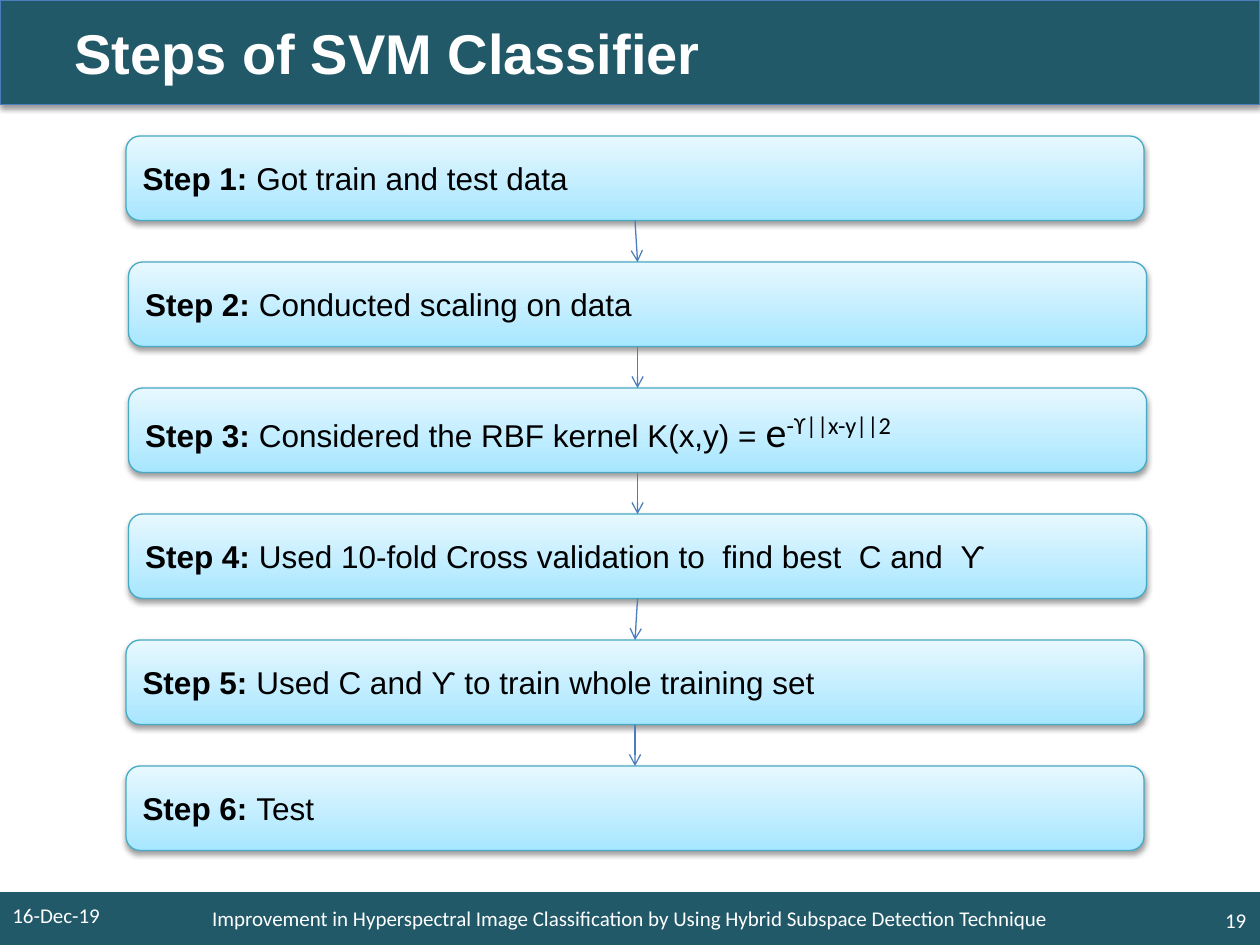
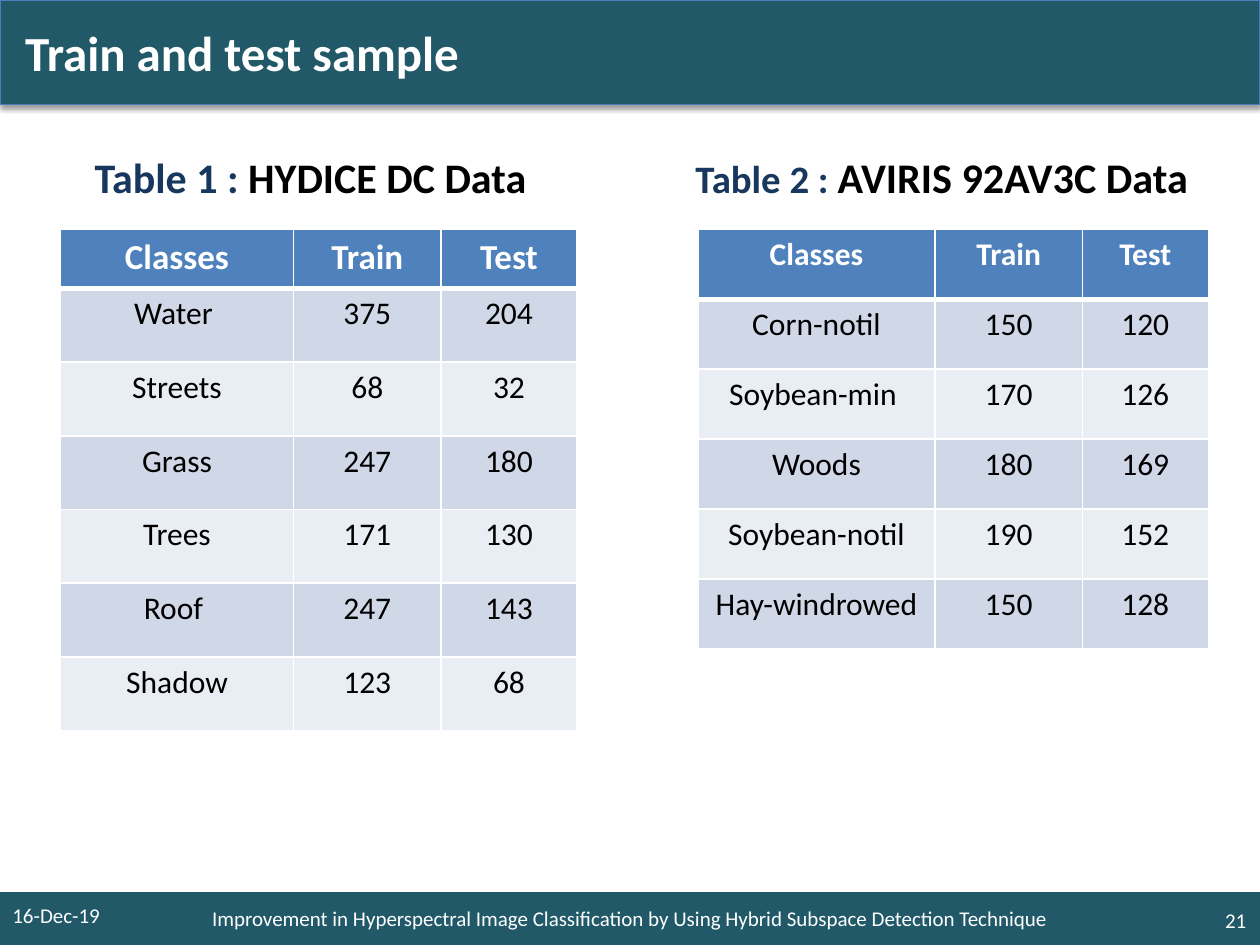
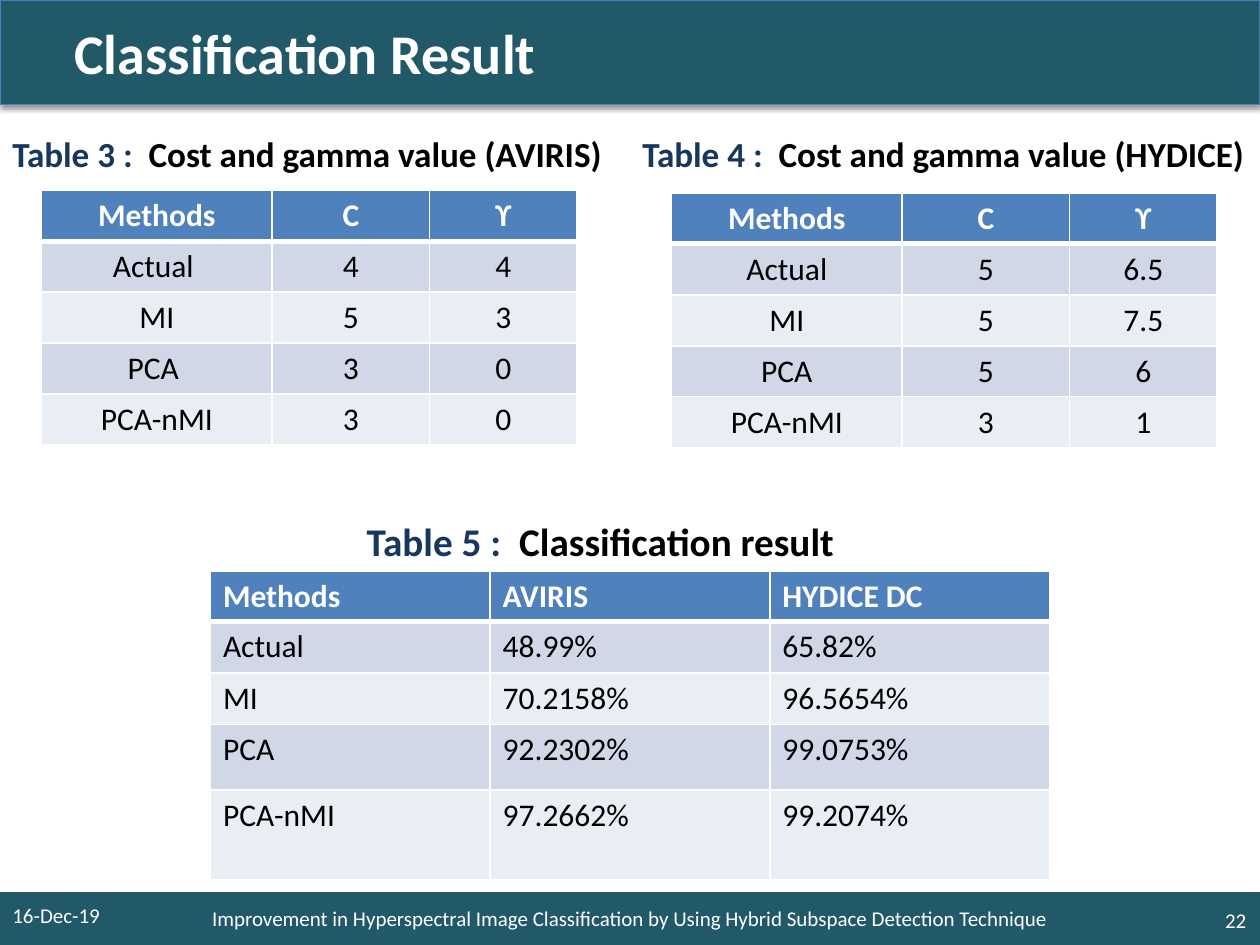
from lxml.etree import SubElement
from pptx import Presentation
from pptx.dml.color import RGBColor
from pptx.enum.shapes import MSO_CONNECTOR, MSO_SHAPE
from pptx.enum.text import MSO_ANCHOR, PP_ALIGN
from pptx.oxml import parse_xml
from pptx.oxml.ns import nsdecls, qn
from pptx.util import Inches, Pt

TEAL = RGBColor(0x21, 0x59, 0x68)
EDGE_BLUE = RGBColor(0x4B, 0x7E, 0xBC)
STEP_EDGE = RGBColor(0x46, 0xAA, 0xC5)
STEP_DARK = RGBColor(0xA7, 0xE6, 0xFF)
STEP_LIGHT = RGBColor(0xE7, 0xF8, 0xFF)
NAVY = RGBColor(0x17, 0x37, 0x5E)
HEADER_BLUE = RGBColor(0x4F, 0x81, 0xBD)
ROW_DARK = RGBColor(0xD0, 0xD8, 0xE8)
ROW_LIGHT = RGBColor(0xE9, 0xED, 0xF4)
WHITE = RGBColor(0xFF, 0xFF, 0xFF)
BLACK = RGBColor(0, 0, 0)

DATE = "16-Dec-19"
TOPIC = ("Improvement in Hyperspectral Image Classification "
         "by Using Hybrid Subspace Detection Technique")


def write(frame, *runs, size=18, font="Calibri", color=BLACK, bold=False,
          align=PP_ALIGN.LEFT, anchor=MSO_ANCHOR.MIDDLE, inset=0.1):
    """Fill a frame with runs, each a string or (string, format changes)."""
    frame.word_wrap = True
    frame.vertical_anchor = anchor
    frame.margin_left = Inches(inset)
    paragraph = frame.paragraphs[0]
    paragraph.alignment = align
    for item in runs:
        text, changes = (item, {}) if isinstance(item, str) else item
        run = paragraph.add_run()
        run.text = text
        run.font.size = Pt(changes.get("size", size))
        run.font.name = changes.get("font", font)
        run.font.color.rgb = changes.get("color", color)
        run.font.bold = changes.get("bold", bold)
        if "raised" in changes:
            run.font._element.set("baseline", str(changes["raised"] * 1000))


def outline_and_shade(shape, color):
    """Give a thin outline and a soft shadow below."""
    shape.line.color.rgb = color
    shape.line.width = Pt(0.75)
    shape.shadow.inherit = False
    effects = shape._element.spPr.find(qn("a:effectLst"))
    effects.append(parse_xml(
        f'<a:outerShdw {nsdecls("a")} blurRad="40000" dist="20000" dir="5400000" rotWithShape="0">'
        '<a:srgbClr val="000000"><a:alpha val="38000"/></a:srgbClr></a:outerShdw>'))


deck = Presentation()
deck.slide_width = Inches(10)
deck.slide_height = Inches(7.5)

# Title band and footer of every slide
slides = []
for heading, page, title_format in [
    ("Steps of SVM Classifier", "19", dict(size=32, font="Arial", inset=0.59)),
    ("Train and test sample", "21", dict(size=28, inset=0.2)),
    ("Classification Result", "22", dict(size=32, inset=0.59)),
]:
    slide = deck.slides.add_slide(deck.slide_layouts[5])
    slides.append(slide)

    title = slide.shapes.title
    title.left, title.top = Inches(0), Inches(0)
    title.width, title.height = Inches(10), Inches(0.83)
    title.fill.solid()
    title.fill.fore_color.rgb = TEAL
    outline_and_shade(title, EDGE_BLUE)
    write(title.text_frame, heading, color=WHITE, bold=True, **title_format)

    footer = slide.shapes.add_shape(MSO_SHAPE.RECTANGLE, Inches(0), Inches(7.08),
                                    Inches(10), Inches(0.42))
    footer.fill.solid()
    footer.fill.fore_color.rgb = TEAL
    footer.line.fill.background()
    footer.shadow.inherit = False
    write(footer.text_frame, TOPIC, size=12, color=WHITE, align=PP_ALIGN.CENTER)

    for text, left, top, width, align in [
        (DATE, 0, 7.06, 1.17, PP_ALIGN.LEFT),
        (page, 9.57, 7.1, 0.42, PP_ALIGN.RIGHT),
    ]:
        note = slide.shapes.add_textbox(Inches(left), Inches(top), Inches(width), Inches(0.4))
        write(note.text_frame, text, size=12, color=WHITE, align=align)

steps_slide, samples_slide, results_slide = slides

# Flow of classifier steps
STEPS = [
    (1, ["Got train and test data"]),
    (1.02, ["Conducted scaling on data"]),
    (1.02, ["Considered the RBF kernel K(x,y) = ",
            ("e", dict(size=24, font="Calibri")),
            ("-ϒ||x-y||2", dict(size=24, font="Calibri", raised=30))]),
    (1.02, ["Used 10-fold Cross validation to  find best  C and  ϒ"]),
    (1, ["Used C and ϒ to train whole training set"]),
    (1, ["Test"]),
]
step_boxes = []
for number, (left, description) in enumerate(STEPS, start=1):
    step = steps_slide.shapes.add_shape(MSO_SHAPE.ROUNDED_RECTANGLE, Inches(left),
                                        Inches(number + 0.08), Inches(8.08), Inches(0.67))
    step.fill.gradient()
    step.fill.gradient_angle = 90
    for stop, shade in zip(step.fill.gradient_stops, (STEP_DARK, STEP_LIGHT)):
        stop.color.rgb = shade
    outline_and_shade(step, STEP_EDGE)
    write(step.text_frame, (f"Step {number}: ", dict(bold=True)), *description, font="Arial")
    step_boxes.append(step)

for upper, lower in zip(step_boxes, step_boxes[1:]):
    arrow = steps_slide.shapes.add_connector(MSO_CONNECTOR.STRAIGHT, 0, 0, 0, 0)
    arrow.begin_connect(upper, 2)
    arrow.end_connect(lower, 0)
    arrow.line.color.rgb = EDGE_BLUE
    arrow.line.width = Pt(0.75)
    SubElement(arrow.line._get_or_add_ln(), qn("a:tailEnd"), type="arrow")
    SubElement(arrow._element.spPr, qn("a:effectLst"))

# Captions and tables
TABLES = [
    dict(slide=samples_slide, label="Table 1 : ", name="HYDICE DC Data",
         caption_at=(0.5, 1.15, 4.29, 0.67), inset=0.25, sizes=(24, 24),
         at=(0.48, 1.82), columns=[1.85, 1.17, 1.08], heights=[0.47] + [0.585] * 6,
         header_size=20, align=PP_ALIGN.CENTER,
         rows=[("Classes", "Train", "Test"),
               ("Water ", "375", "204"),
               ("Streets", "68", "32"),
               ("Grass", "247", "180"),
               ("Trees", "171", "130"),
               ("Roof ", "247", "143"),
               ("Shadow", "123", "68")]),
    dict(slide=samples_slide, label="Table 2 : ", name="AVIRIS 92AV3C Data",
         caption_at=(5, 1.15, 4.83, 0.77), inset=0.52, sizes=(22.2, 24.1),
         at=(5.54, 1.82), columns=[1.88, 1.17, 1], heights=[0.555] * 6,
         header_size=18, align=PP_ALIGN.CENTER,
         rows=[("Classes", "Train", "Test"),
               ("Corn-notil", "150", "120"),
               ("Soybean-min ", "170", "126"),
               ("Woods", "180", "169"),
               ("Soybean-notil", "190", "152"),
               ("Hay-windrowed", "150", "128")]),
    dict(slide=results_slide, label="Table 3 : ", name=" Cost and gamma value (AVIRIS)",
         caption_at=(0, 1, 5, 0.42), inset=0.1, sizes=(20.1, 20.1),
         at=(0.33, 1.51), columns=[1.83, 1.25, 1.17], heights=[0.405] * 5,
         header_size=18, align=PP_ALIGN.CENTER,
         rows=[("Methods", "C", "ϒ"),
               ("Actual ", "4", "4"),
               ("MI", "5", "3"),
               ("PCA ", "3", "0"),
               ("PCA-nMI", "3", "0")]),
    dict(slide=results_slide, label="Table 4 : ", name=" Cost and gamma value (HYDICE)",
         caption_at=(5, 1, 5, 0.42), inset=0.1, sizes=(20.1, 20.1),
         at=(5.33, 1.53), columns=[1.83, 1.33, 1.17], heights=[0.405] * 5,
         header_size=18, align=PP_ALIGN.CENTER,
         rows=[("Methods", "C", "ϒ"),
               ("Actual", "5", "6.5"),
               ("MI", "5", "7.5"),
               ("PCA", "5", "6"),
               ("PCA-nMI", "3", "1")]),
    dict(slide=results_slide, label="Table 5 : ", name=" Classification result",
         caption_at=(2.5, 4.06, 5.25, 0.42), inset=0.41, sizes=(22.4, 22.4),
         at=(1.67, 4.53), columns=[2.22] * 3, heights=[0.4, 0.41, 0.41, 0.52, 0.71],
         header_size=18, align=PP_ALIGN.LEFT,
         rows=[("Methods", "AVIRIS", "HYDICE DC"),
               ("Actual", "48.99%", "65.82%"),
               ("MI", "70.2158%", "96.5654%"),
               ("PCA", "92.2302%", "99.0753%"),
               ("PCA-nMI", "97.2662%", "99.2074%")]),
]
for entry in TABLES:
    shapes = entry["slide"].shapes
    caption = shapes.add_textbox(*map(Inches, entry["caption_at"]))
    caption.text_frame.margin_right = 0
    label_size, name_size = entry["sizes"]
    write(caption.text_frame, (entry["label"], dict(color=NAVY, size=label_size)),
          entry["name"], size=name_size, bold=True, anchor=MSO_ANCHOR.TOP,
          inset=entry["inset"])

    rows, columns, heights = entry["rows"], entry["columns"], entry["heights"]
    left, top = entry["at"]
    table = shapes.add_table(len(rows), len(columns), Inches(left), Inches(top),
                             Inches(sum(columns)), Inches(sum(heights))).table
    for column, width in zip(table.columns, columns):
        column.width = Inches(width)
    for r, (row, height) in enumerate(zip(rows, heights)):
        table.rows[r].height = Inches(height)
        is_header = r == 0
        for c, value in enumerate(row):
            cell = table.cell(r, c)
            for side in ("lnL", "lnR", "lnT", "lnB"):
                below_header = (r, side) in ((0, "lnB"), (1, "lnT"))
                cell._tc.get_or_add_tcPr().append(parse_xml(
                    f'<a:{side} {nsdecls("a")} w="{Pt(3 if below_header else 1)}">'
                    f'<a:solidFill><a:srgbClr val="{WHITE}"/></a:solidFill></a:{side}>'))
            cell.fill.solid()
            cell.fill.fore_color.rgb = (HEADER_BLUE if is_header
                                        else ROW_DARK if r % 2 else ROW_LIGHT)
            write(cell.text_frame, value, size=entry["header_size"] if is_header else 18,
                  color=WHITE if is_header else BLACK, bold=is_header,
                  align=entry["align"], anchor=None)

deck.save("out.pptx")
